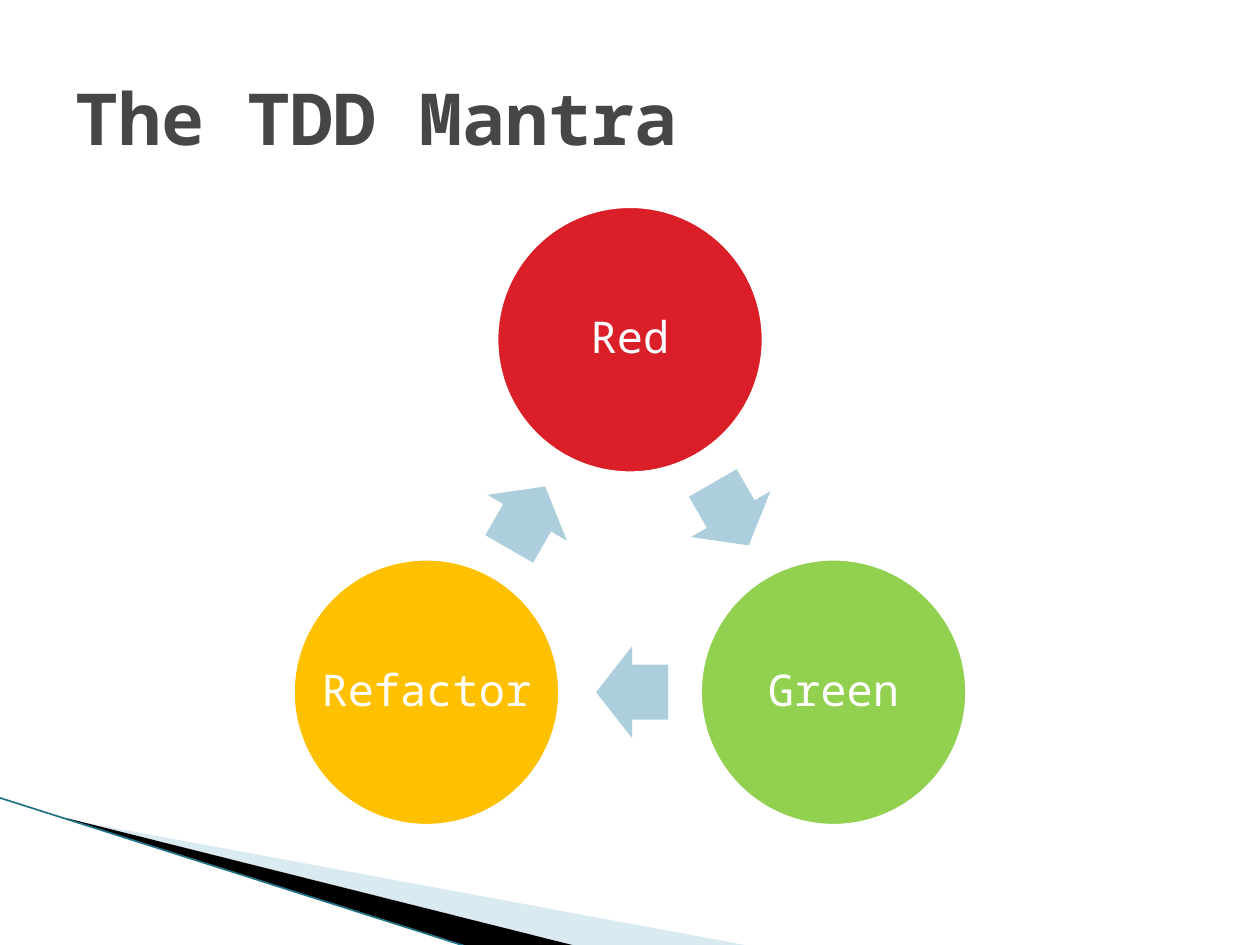
"""Build the TDD mantra slide: a three-step cycle above a corner ornament."""
import math
from lxml import etree
from pptx import Presentation
from pptx import util as u
from pptx.dml.color import RGBColor
from pptx.enum import shapes, text
from pptx.oxml import ns

COLORS = {
    "title": "464646", "white": "FFFFFF", "red": "DA1F28", "green": "92D050",
    "amber": "FFC000", "arrow": "ADCEDC", "wedge": "A0CBDC", "black": "000000",
    "edge": "1F7388",
}
Pt = u.Pt


def paint(shape, color):
    shape.shadow.inherit = False
    shape.fill.solid()
    shape.fill.fore_color.rgb = RGBColor.from_string(COLORS[color])
    shape.line.fill.background()


def write(shape, words, size, color, bold=False):
    frame = shape.text_frame
    frame.vertical_anchor = text.MSO_ANCHOR.MIDDLE
    run = frame.paragraphs[0].add_run()
    run.text = words
    run.font.name = "Noto Sans Mono"
    run.font.size = Pt(size)
    run.font.bold = bold
    run.font.color.rgb = RGBColor.from_string(COLORS[color])
    return frame


presentation = Presentation()
presentation.slide_width, presentation.slide_height = Pt(720), Pt(540)
slide = presentation.slides.add_slide(presentation.slide_layouts[6])

wedges = [
    ("wedge", [(39.6, 468.4), (428.4, 540.5), (328.3, 540.5), (39.6, 468)]),
    ("black", [(38, 467.5), (329, 540.5), (268, 541), (38.9, 468)]),
]
for color, points in wedges:
    corners = [(Pt(x), Pt(y)) for x, y in points]
    builder = slide.shapes.build_freeform(*corners[0], scale=1.0)
    builder.add_line_segments(corners[1:], close=True)
    wedge = builder.convert_to_shape()
    paint(wedge, color)
    if color == "wedge":
        fill_color = wedge.fill._xPr.find(ns.qn("a:solidFill"))[0]
        etree.SubElement(fill_color, ns.qn("a:alpha"), val="40000")

edge = slide.shapes.add_connector(
    shapes.MSO_CONNECTOR.STRAIGHT, Pt(-0.5), Pt(455.8), Pt(267), Pt(541))
edge.line.width = Pt(0.95)
edge.line.color.rgb = RGBColor.from_string(COLORS["edge"])
etree.SubElement(edge._element.spPr, ns.qn("a:effectLst"))

title = slide.shapes.add_textbox(Pt(36), Pt(21.6), Pt(648), Pt(90))
write(title, "The TDD Mantra", 41, "title", True).word_wrap = True

steps = [("Red", "red"), ("Green", "green"), ("Refactor", "amber")]
center_x, center_y, radius = 360, 328.4, 134.3
diameter, arrow_width, arrow_height = 154.8, 41.2, 52.4
centers = []
for index in range(len(steps)):
    angle = math.radians(120 * index - 90)
    centers.append((center_x + radius * math.cos(angle),
                    center_y + radius * math.sin(angle)))

for index, (label, color) in enumerate(steps):
    x, y = centers[index]
    circle = slide.shapes.add_shape(
        shapes.MSO_SHAPE.OVAL, Pt(x - diameter / 2), Pt(y - diameter / 2),
        Pt(diameter), Pt(diameter))
    paint(circle, color)
    circle.line.color.rgb = RGBColor.from_string(COLORS["white"])
    circle.line.width = Pt(4.33)
    frame = write(circle, label, 25, "white")
    frame.word_wrap = False
    frame.margin_left = frame.margin_right = Pt(2.2)
    frame.margin_top = frame.margin_bottom = Pt(2.2)
    frame.paragraphs[0].alignment = text.PP_ALIGN.CENTER
    frame.paragraphs[0].line_spacing = 0.9

    next_x, next_y = centers[(index + 1) % len(steps)]
    arrow_x = x + 0.495 * (next_x - x)
    arrow_y = y + 0.495 * (next_y - y)
    arrow = slide.shapes.add_shape(
        shapes.MSO_SHAPE.RIGHT_ARROW, Pt(arrow_x - arrow_width / 2),
        Pt(arrow_y - arrow_height / 2), Pt(arrow_width), Pt(arrow_height))
    arrow.adjustments[0], arrow.adjustments[1] = 0.6, 0.5
    arrow.rotation = 60 + 120 * index
    paint(arrow, "arrow")

presentation.save("out.pptx")
